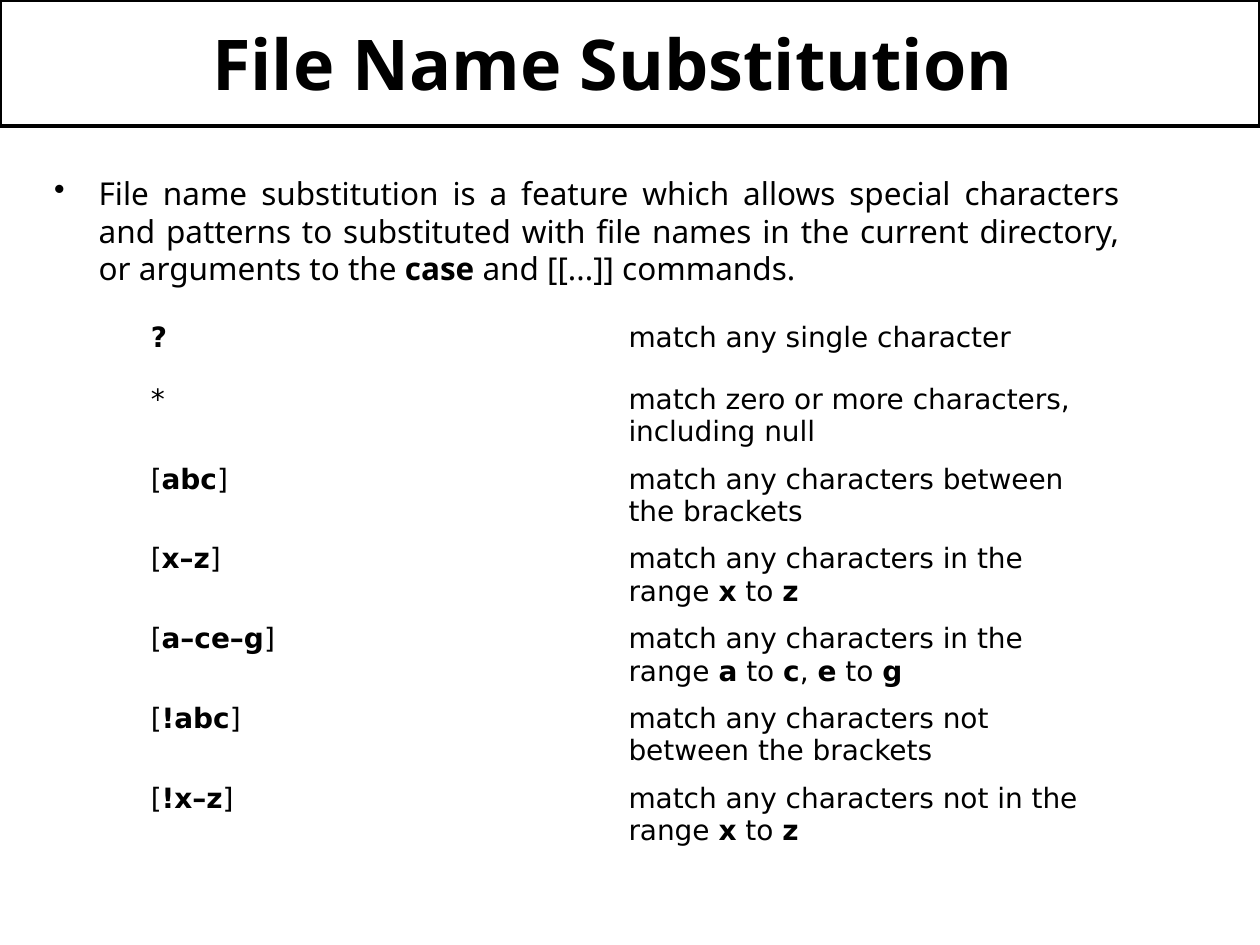
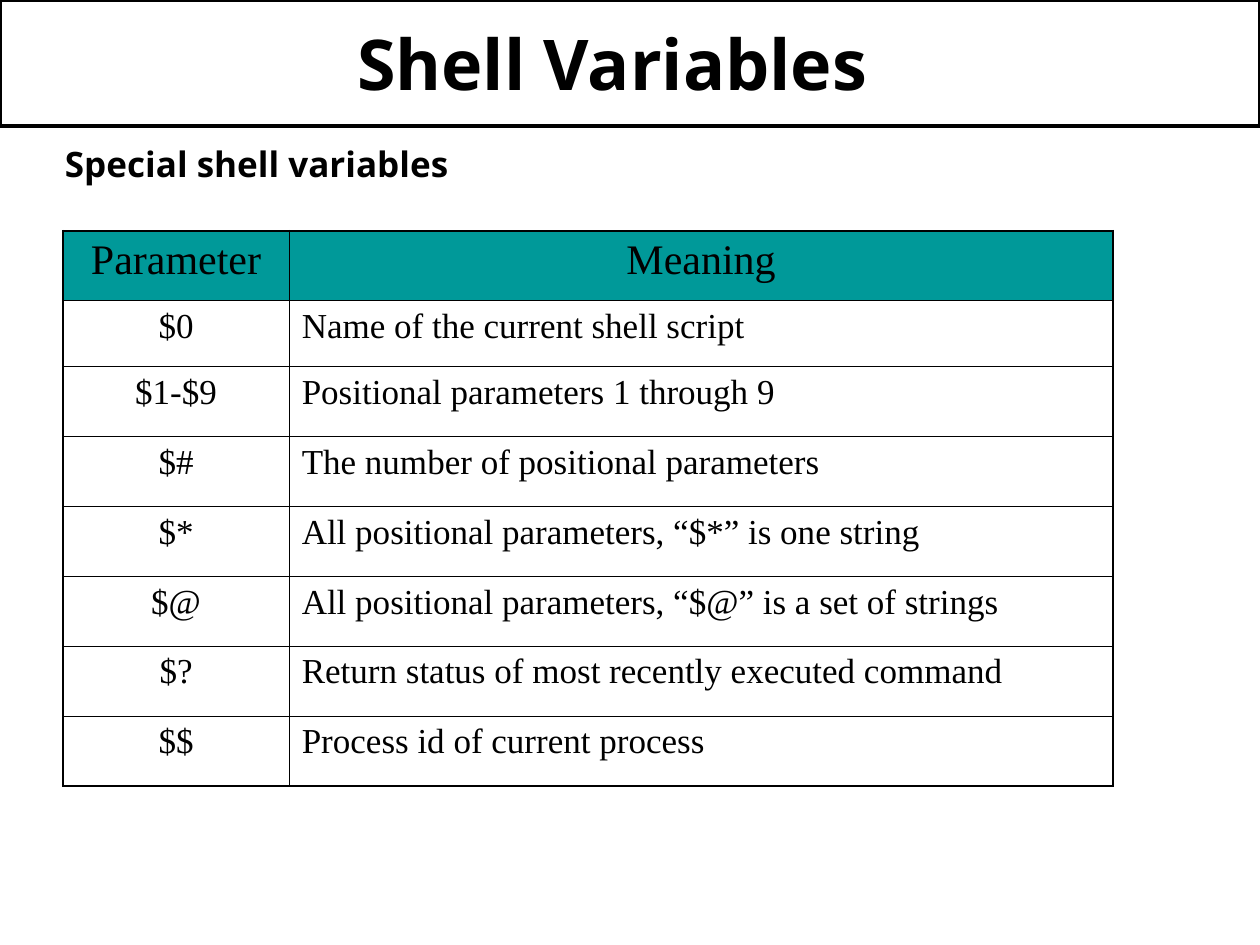
from lxml import etree
from pptx import Presentation
from pptx.dml.color import RGBColor
from pptx.enum.shapes import MSO_SHAPE
from pptx.enum.text import MSO_ANCHOR, PP_ALIGN
from pptx.oxml.ns import qn
from pptx.util import Cm, Pt

LEFT, CENTER, JUSTIFY = PP_ALIGN.LEFT, PP_ALIGN.CENTER, PP_ALIGN.JUSTIFY
TOP, MIDDLE = MSO_ANCHOR.TOP, MSO_ANCHOR.MIDDLE
RECTANGLE = MSO_SHAPE.RECTANGLE

BLACK, WHITE, TEAL = "000000", "FFFFFF", "009999"
TITLE_FONT, PATTERN_FONT, VARIABLE_FONT = "Noto Sans", "DejaVu Sans", "Times New Roman"
THIN, THICK = 0.45, 1.08


def color(hex_string):
    return RGBColor.from_string(hex_string)


def write(frame, text, size, font, bold=False, align=LEFT, anchor=TOP, bullet=None):
    """Fill a text frame; bars toggle bold and newlines become line breaks."""
    frame.word_wrap = True
    frame.vertical_anchor = anchor
    paragraph = frame.paragraphs[0]
    paragraph.alignment = align
    if bullet:
        properties = paragraph._p.get_or_add_pPr()
        properties.set("marL", str(Cm(0.9)))
        properties.set("indent", str(-Cm(0.9)))
        etree.SubElement(properties, qn("a:buChar")).set("char", bullet)
    for part_index, part in enumerate(text.split("|")):
        for line_index, line in enumerate(part.split("\n")):
            if line_index:
                paragraph.add_line_break()
            if line:
                run = paragraph.add_run()
                run.text = line
                run.font.size = Pt(size)
                run.font.name = font
                run.font.bold = bold or part_index % 2 == 1
                run.font.color.rgb = color(BLACK)


presentation = Presentation()
presentation.slide_width, presentation.slide_height = Cm(25.4), Cm(19.05)

# Title band on every slide
slides = []
for title in ["File Name Substitution", "Shell Variables"]:
    slide = presentation.slides.add_slide(presentation.slide_layouts[6])
    band = slide.shapes.add_shape(RECTANGLE, 0, 0, Cm(25.4), Cm(2.54))
    band.shadow.inherit = False
    band.fill.solid()
    band.fill.fore_color.rgb = color(WHITE)
    band.line.color.rgb = color(BLACK)
    band.line.width = Pt(2)
    band.text_frame.margin_right = Cm(0.97)
    write(band.text_frame, title, 40, TITLE_FONT, bold=True, align=CENTER, anchor=MIDDLE)
    slides.append(slide)
substitution_slide, variables_slide = slides

# File name substitution: introduction and patterns
introduction = substitution_slide.shapes.add_textbox(Cm(0.84), Cm(3.38), Cm(22.23), Cm(2.54))
introduction.text_frame.margin_right = Cm(0.5)
write(
    introduction.text_frame,
    "File name substitution is a feature which allows special characters\n"
    "and patterns to substituted with file names in the current directory,\n"
    "or arguments to the |case| and [[...]] commands.",
    18, TITLE_FONT, align=JUSTIFY, bullet="•",
)

patterns = [
    ("|?|", "match any single character"),
    ("*", "match zero or more characters, including null"),
    ("[|abc|]", "match any characters between the brackets"),
    ("[|x–z|]", "match any characters in the range |x| to |z|"),
    ("[|a–ce–g|]", "match any characters in the range |a| to |c|, |e| to |g|"),
    ("[|!abc|]", "match any characters not between the brackets"),
    ("[|!x–z|]", "match any characters not in the range |x| to |z|"),
]
pattern_table = substitution_slide.shapes.add_table(
    len(patterns), 2, Cm(2.96), Cm(6.35), Cm(19.26), Cm(10.85)).table
pattern_table.first_row = pattern_table.horz_banding = False
for row_index, row in enumerate(patterns):
    pattern_table.rows[row_index].height = Cm(1.61 if row_index else 1.25)
    for column_index, text in enumerate(row):
        cell = pattern_table.cell(row_index, column_index)
        cell.margin_left = cell.margin_right = Cm(0.08)
        cell.fill.solid()
        cell.fill.fore_color.rgb = color(WHITE)
        write(cell.text_frame, text, 16, PATTERN_FONT)

# Shell variables: heading and parameters
heading = variables_slide.shapes.add_textbox(Cm(1.06), Cm(2.75), Cm(23.29), Cm(1.11))
write(heading.text_frame, "Special shell variables", 20, TITLE_FONT, bold=True)

parameters = [
    ("Parameter", "Meaning"),
    ("$0", "Name of the current shell script"),
    ("$1-$9", "Positional parameters 1 through 9"),
    ("$#", "The number of positional parameters"),
    ("$*", "All positional parameters, “$*” is one string"),
    ("$@", "All positional parameters, “$@” is a set of strings"),
    ("$?", "Return status of most recently executed command"),
    ("$$", "Process id of current process"),
]
parameter_table = variables_slide.shapes.add_table(
    len(parameters), 2, Cm(1.27), Cm(4.65), Cm(21.17), Cm(11.23)).table
parameter_table.first_row = parameter_table.horz_banding = False
for column, width in zip(parameter_table.columns, (4.56, 16.61)):
    column.width = Cm(width)
last_row = len(parameters) - 1
for row_index, row in enumerate(parameters):
    is_header = row_index == 0
    parameter_table.rows[row_index].height = Cm(1.33 if row_index == 1 else 1.41)
    for column_index, text in enumerate(row):
        cell = parameter_table.cell(row_index, column_index)
        outer_edges = {
            "a:lnL": column_index == 0,
            "a:lnR": column_index == 1,
            "a:lnT": is_header,
            "a:lnB": row_index == last_row,
        }
        for edge, is_outer in outer_edges.items():
            border = etree.SubElement(cell._tc.get_or_add_tcPr(), qn(edge))
            border.set("w", str(Pt(THICK if is_outer else THIN)))
            border_fill = etree.SubElement(border, qn("a:solidFill"))
            etree.SubElement(border_fill, qn("a:srgbClr")).set("val", BLACK)
        cell.fill.solid()
        cell.fill.fore_color.rgb = color(TEAL if is_header else WHITE)
        write(cell.text_frame, text, 24 if is_header else 20, VARIABLE_FONT,
              align=CENTER if is_header or column_index == 0 else LEFT)

presentation.save("out.pptx")
